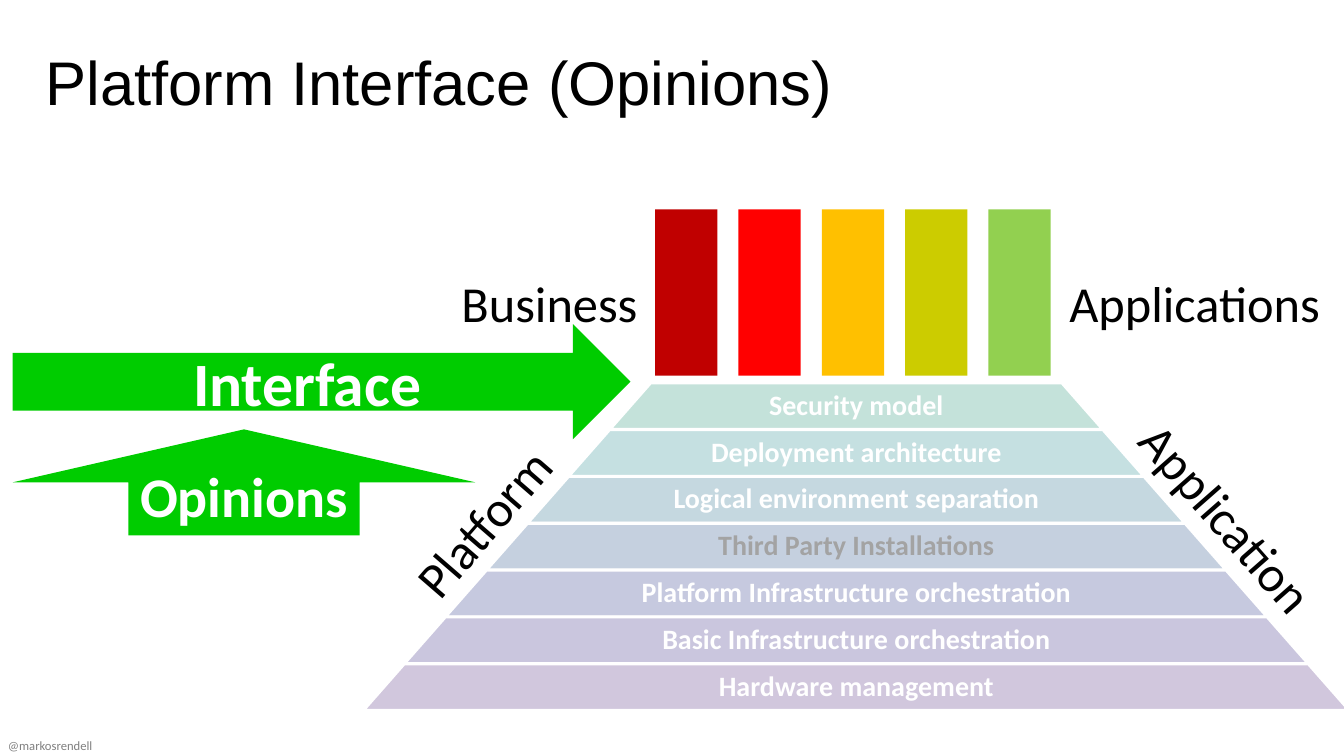
from dataclasses import dataclass

from lxml.etree import SubElement
from pptx import Presentation
from pptx.dml.color import RGBColor
from pptx.enum.shapes import MSO_SHAPE
from pptx.enum.text import MSO_ANCHOR, MSO_AUTO_SIZE, PP_ALIGN
from pptx.oxml.ns import qn
from pptx.shapes.autoshape import Shape
from pptx.slide import Slide
from pptx.util import Cm, Pt


@dataclass
class Box:
    left: float
    top: float
    width: float
    height: float

    def lengths(self) -> tuple[Cm, Cm, Cm, Cm]:
        return Cm(self.left), Cm(self.top), Cm(self.width), Cm(self.height)


@dataclass
class Layer:
    text: str
    fill: str
    color: str = "FFFFFF"


@dataclass
class Label:
    text: str
    box: Box
    rotation: float = 0


@dataclass
class Arrow:
    text: str
    kind: MSO_SHAPE
    box: Box
    size: int


# Content, from the top of the pyramid down
LAYERS = [
    Layer("Security model", "5EB09B"),
    Layer("Deployment architecture", "5FABAE"),
    Layer("Logical environment separation", "6094AB"),
    Layer("Third Party Installations", "617EA9", "000000"),
    Layer("Platform Infrastructure orchestration", "626AA7"),
    Layer("Basic Infrastructure orchestration", "6E63A4"),
    Layer("Hardware management", "8064A2"),
]
BAR_FILLS = ["C00000", "FF0000", "FFC000", "CCCC00", "92D050"]
ARROWS = [
    Arrow("Interface", MSO_SHAPE.RIGHT_ARROW, Box(0.32, 8.17, 15.57, 2.9), 44),
    Arrow("Opinions", MSO_SHAPE.UP_ARROW, Box(0.32, 10.82, 11.66, 2.67), 40),
]
LABELS = [
    Label("Business", Box(11.38, 6.73, 6.3, 1.8)),
    Label("Applications", Box(26.7, 6.73, 7.16, 1.8)),
    Label("Platform", Box(9.7, 12.22, 5.05, 1.8), 310.9),
    Label("Application", Box(27.76, 12.17, 6.4, 1.8), 48.7),
]

# Pyramid and bar geometry, in centimetres
CENTER, PYRAMID_TOP, LAYER_HEIGHT, LAYER_STEP = 21.58, 9.65, 1.17, 1.18
TOP_WIDTH, WIDTH_STEP, TEXT_SHARE = 12.42, 2.07, 0.65
FIRST_BAR, BAR_STEP = 16.51, 2.1


def rgb(color: str) -> RGBColor:
    return RGBColor.from_string(color)


def add_shape(s: Slide, kind: MSO_SHAPE, box: Box, fill: str) -> Shape:
    sp = s.shapes.add_shape(kind, *box.lengths())
    sp.shadow.inherit = False
    sp.fill.solid()
    sp.fill.fore_color.rgb = rgb(fill)
    sp.line.fill.background()
    return sp


def set_text(sp: Shape, text: str, size: int, color: str, bold: bool = False,
             align: PP_ALIGN = PP_ALIGN.LEFT, anchor: MSO_ANCHOR = MSO_ANCHOR.TOP,
             inset: float | None = None, wrap: bool = True, font: str = "Calibri") -> None:
    tf = sp.text_frame
    tf.word_wrap = wrap
    tf.vertical_anchor = anchor
    if inset is not None:
        tf.margin_left = tf.margin_right = tf.margin_top = tf.margin_bottom = Cm(inset)
    p = tf.paragraphs[0]
    p.text = text
    p.alignment = align
    p.font.name, p.font.size, p.font.bold = font, Pt(size), bold
    p.font.color.rgb = rgb(color)


def add_layer(s: Slide, layer: Layer, row: int) -> None:
    width = TOP_WIDTH + row * WIDTH_STEP
    top = PYRAMID_TOP + row * LAYER_STEP
    sp = add_shape(s, MSO_SHAPE.TRAPEZOID,
                   Box(CENTER - width / 2, top, width, LAYER_HEIGHT), layer.fill)
    sp.adjustments[0] = 0.88
    sp.line.color.rgb = rgb("FFFFFF")
    sp.line.width = Pt(2)
    text_width = width * TEXT_SHARE
    text_box = Box(CENTER - text_width / 2, top, text_width, LAYER_HEIGHT)
    tb = s.shapes.add_textbox(*text_box.lengths())
    set_text(tb, layer.text, 20, layer.color, True, PP_ALIGN.CENTER, MSO_ANCHOR.MIDDLE, 0.08)
    tb.text_frame.paragraphs[0].line_spacing = 0.9


def add_veil(s: Slide, box: Box, opacity: int) -> None:
    sp = add_shape(s, MSO_SHAPE.RECTANGLE, box, "FFFFFF")
    color = sp._element.spPr.find(qn("a:solidFill"))[0]
    SubElement(color, qn("a:alpha")).set("val", str(opacity * 1000))


def add_arrow(s: Slide, arrow: Arrow) -> None:
    sp = add_shape(s, arrow.kind, arrow.box, "00CC00")
    set_text(sp, arrow.text, arrow.size, "FFFFFF", True,
             PP_ALIGN.CENTER, MSO_ANCHOR.MIDDLE, 0)


def add_label(s: Slide, label: Label) -> None:
    tb = s.shapes.add_textbox(*label.box.lengths())
    tb.rotation = label.rotation
    set_text(tb, label.text, 36, "000000", wrap=not label.rotation)


def main() -> None:
    prs = Presentation()
    prs.slide_width, prs.slide_height = Cm(33.87), Cm(19.05)
    s = prs.slides.add_slide(prs.slide_layouts[5])

    # Title
    title = s.shapes.title
    title.left, title.top, title.width, title.height = Box(0.89, 0.97, 20.78, 2.13).lengths()
    set_text(title, "Platform Interface (Opinions)", 44, "000000", font="Arial")
    title.text_frame.auto_size = MSO_AUTO_SIZE.NONE

    # Faded platform pyramid
    for row, layer in enumerate(LAYERS):
        add_layer(s, layer, row)
    add_veil(s, Box(9.22, 9.02, 24.65, 10.03), 64)

    # Interface and opinions arrows
    for arrow in ARROWS:
        add_arrow(s, arrow)

    # Business application bars
    for i, fill in enumerate(BAR_FILLS):
        add_shape(s, MSO_SHAPE.RECTANGLE,
                  Box(FIRST_BAR + i * BAR_STEP, 5.28, 1.57, 4.19), fill)

    # Labels around the pyramid
    for label in LABELS:
        add_label(s, label)

    # Author handle
    tb = s.shapes.add_textbox(*Box(0.2, 18.57, 8.05, 0.43).lengths())
    set_text(tb, "@markosrendell", 9, "808080", anchor=MSO_ANCHOR.MIDDLE, inset=0)

    prs.save("out.pptx")


if __name__ == "__main__":
    main()
